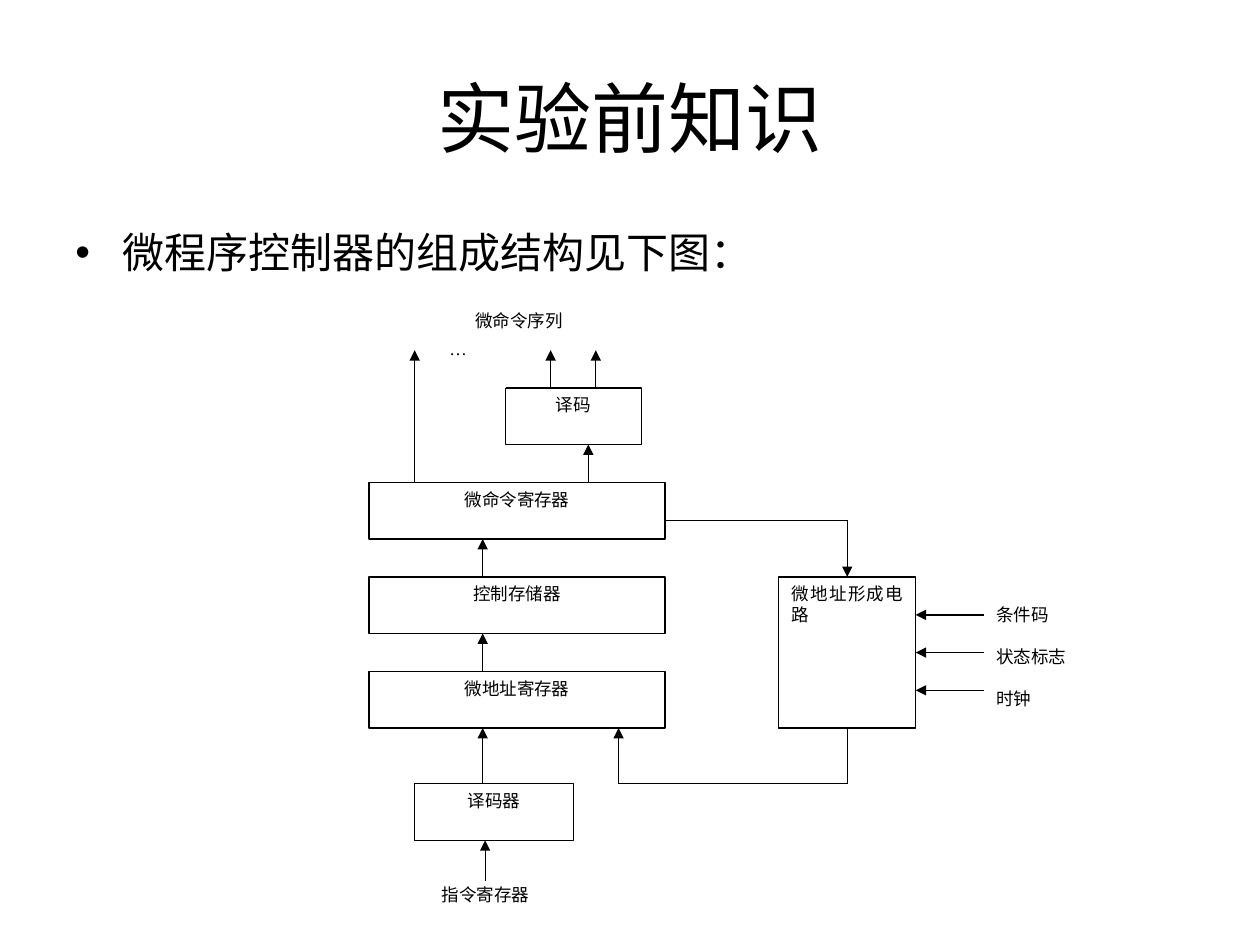
from dataclasses import dataclass

import pptx
import pptx.dml.color
import pptx.enum.shapes
import pptx.enum.text
import pptx.oxml.ns
import pptx.util
from lxml import etree

Cm = pptx.util.Cm
Pt = pptx.util.Pt
qn = pptx.oxml.ns.qn
ALIGN = pptx.enum.text.PP_ALIGN


@dataclass(frozen=True)
class Theme:
    ink = pptx.dml.color.RGBColor(0, 0, 0)
    paper = pptx.dml.color.RGBColor(255, 255, 255)
    heading_font = "Arial"
    diagram_font = "Times New Roman"
    title_size = Pt(44)
    body_size = Pt(24)
    diagram_size = Pt(10)
    line_width = Pt(0.75)


theme = Theme()


def write(paragraph, text, font_name, size, align):
    paragraph.alignment = align
    run = paragraph.add_run()
    run.text = text
    run.font.name = font_name
    run.font.size = size
    run.font.color.rgb = theme.ink


def add_box(left, top, width, height, lines, align, outline):
    box = slide.shapes.add_shape(
        pptx.enum.shapes.MSO_SHAPE.RECTANGLE, Cm(left), Cm(top), Cm(width), Cm(height))
    box.shadow.inherit = False
    box.fill.solid()
    box.fill.fore_color.rgb = theme.paper
    box.line.color.rgb = outline
    box.line.width = theme.line_width
    frame = box.text_frame
    frame.word_wrap = True
    frame.vertical_anchor = pptx.enum.text.MSO_ANCHOR.TOP
    for number, text in enumerate(lines):
        paragraph = frame.add_paragraph() if number else frame.paragraphs[0]
        if number:
            paragraph.space_before = Pt(12)
        write(paragraph, text, theme.diagram_font, theme.diagram_size, align)
    return box


presentation = pptx.Presentation()
presentation.slide_width = Cm(25.4)
presentation.slide_height = Cm(19.05)
slide = presentation.slides.add_slide(presentation.slide_layouts[5])

# Title
title = slide.shapes.title
title.left, title.top, title.width, title.height = Cm(1.27), Cm(0.76), Cm(22.86), Cm(3.18)
title.text_frame.vertical_anchor = pptx.enum.text.MSO_ANCHOR.MIDDLE
write(title.text_frame.paragraphs[0], "实验前知识",
      theme.heading_font, theme.title_size, ALIGN.CENTER)

# Introductory bullet
intro = slide.shapes.add_textbox(Cm(1.27), Cm(4.45), Cm(22.86), Cm(1.5))
intro.text_frame.word_wrap = True
intro_line = intro.text_frame.paragraphs[0]
intro_format = intro_line._p.get_or_add_pPr()
intro_format.set("marL", str(Cm(0.95)))
intro_format.set("indent", str(-Cm(0.95)))
etree.SubElement(intro_format, qn("a:buFont")).set("typeface", theme.heading_font)
etree.SubElement(intro_format, qn("a:buChar")).set("char", "•")
write(intro_line, "微程序控制器的组成结构见下图：",
      theme.heading_font, theme.body_size, ALIGN.LEFT)

# Units: rows of the main column share one pitch and height
row_pitch, unit_height = 1.905, 1.14
decode_top = 7.82
command_top, store_top, address_top = (decode_top + row_pitch * n for n in (1, 2, 3))
decoder_top = 15.8
column_left, column_width = 7.44, 5.97
circuit_left, circuit_width, circuit_height = 15.7, 2.76, 3.05

for text, left, top, width in (
    ("译码", 10.19, decode_top, 2.74),
    ("微命令寄存器", column_left, command_top, column_width),
    ("控制存储器", column_left, store_top, column_width),
    ("微地址寄存器", column_left, address_top, column_width),
    ("译码器", 8.36, decoder_top, 3.2),
):
    add_box(left, top, width, unit_height, [text], ALIGN.CENTER, theme.ink)
circuit = add_box(circuit_left, store_top, circuit_width, circuit_height,
                  ["微地址形成电路"], ALIGN.JUSTIFY, theme.ink)

# Labels without a visible frame
add_box(8.66, 17.7, 2.87, 0.84, ["指令寄存器"], ALIGN.JUSTIFY, theme.paper)
add_box(8.81, 6.68, 1.37, unit_height, ["…"], ALIGN.JUSTIFY, theme.paper)
add_box(8.71, 6.12, 3.51, 0.81, ["微命令序列"], ALIGN.CENTER, theme.paper)
inputs_left = 19.84
inputs = add_box(inputs_left, store_top, 3.2, circuit_height,
                 ["条件码", "状态标志", "时钟"], ALIGN.JUSTIFY, theme.paper)
inputs.text_frame.margin_top = Cm(0.55)

# Lines: start, end, arrowhead, joined start and joined end (shape, side)
outputs_y = 7.06
main_x, feedback_x = 9.73, 12.47
circuit_x = circuit_left + circuit_width / 2
circuit_right = circuit_left + circuit_width
circuit_middle = store_top + circuit_height / 2
circuit_bottom = store_top + circuit_height
command_exit = 10.49
input_gap = 0.76

links = [
    ((main_x, store_top), (main_x, command_top + unit_height), True, None, None),
    ((main_x, address_top), (main_x, store_top + unit_height), True, None, None),
    ((main_x, decoder_top), (main_x, address_top + unit_height), True, None, None),
    ((9.78, 17.75), (9.78, decoder_top + unit_height), True, None, None),
    ((8.36, command_top), (8.36, outputs_y), True, None, None),
    ((11.86, command_top), (11.86, decode_top + unit_height), True, None, None),
    ((11.1, decode_top), (11.1, outputs_y), True, None, None),
    ((12.01, decode_top), (12.01, outputs_y), True, None, None),
    ((column_left + column_width, command_exit), (circuit_x, command_exit),
     False, None, None),
    ((circuit_x, command_exit), (circuit_x, store_top), True, None, (circuit, 0)),
    ((circuit_x, circuit_bottom), (circuit_x, decoder_top), False, (circuit, 2), None),
    ((circuit_x, decoder_top), (feedback_x, decoder_top), False, None, None),
    ((feedback_x, decoder_top), (feedback_x, address_top + unit_height),
     True, None, None),
]
for step in (-1, 0, 1):
    y = circuit_middle + step * input_gap
    joins = ((inputs, 1), (circuit, 3)) if step == 0 else (None, None)
    links.append(((inputs_left, y), (circuit_right, y), True, *joins))

for start, end, arrow, start_join, end_join in links:
    link = slide.shapes.add_connector(
        pptx.enum.shapes.MSO_CONNECTOR.STRAIGHT, *map(Cm, start + end))
    if start_join:
        link.begin_connect(*start_join)
    if end_join:
        link.end_connect(*end_join)
    link.line.color.rgb = theme.ink
    link.line.width = theme.line_width
    if arrow:
        etree.SubElement(link.line._get_or_add_ln(), qn("a:tailEnd")).set("type", "triangle")
    etree.SubElement(link._element.spPr, qn("a:effectLst"))

presentation.save("out.pptx")
